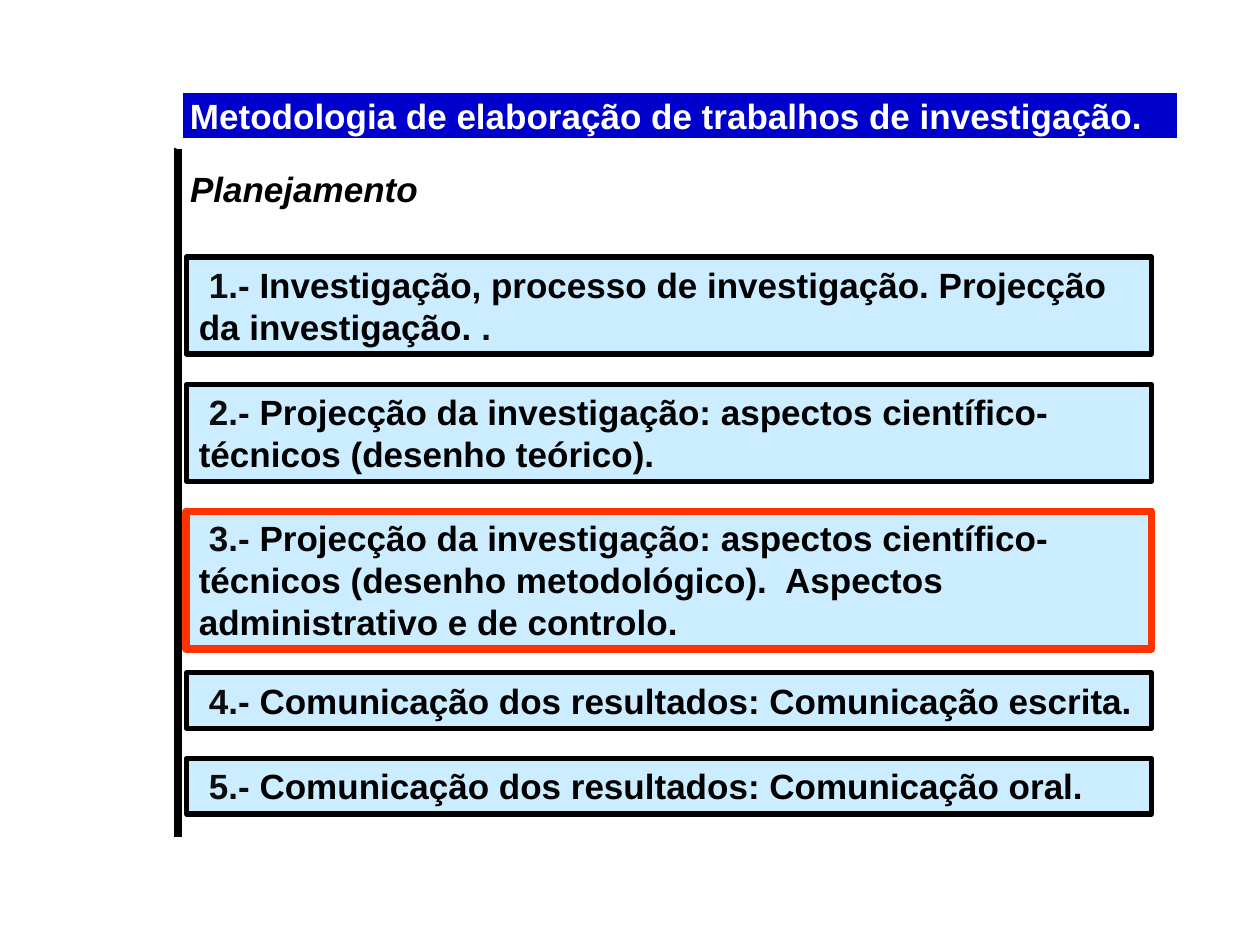
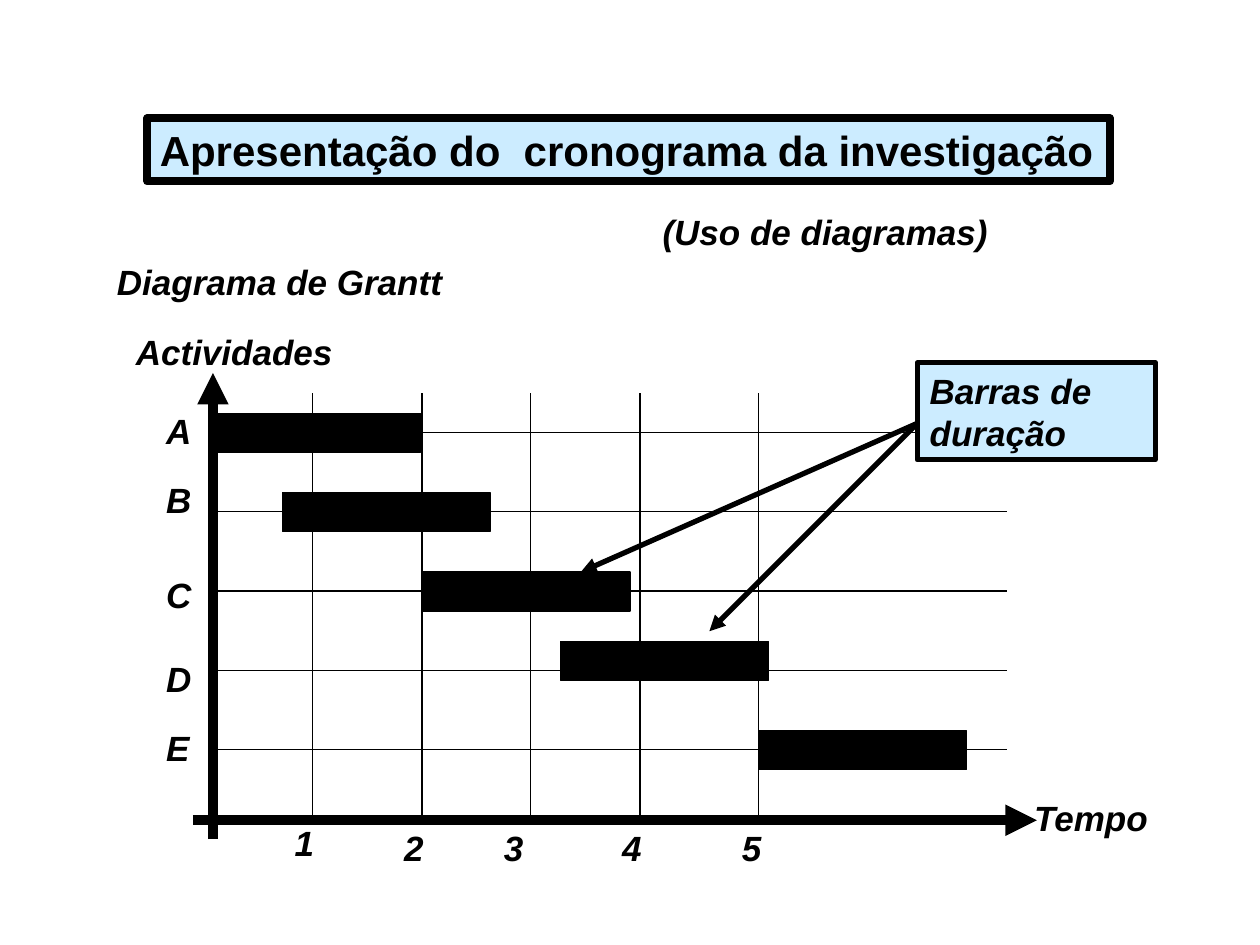
from dataclasses import dataclass
from typing import Optional

from lxml.etree import SubElement
from pptx import Presentation
from pptx.dml.color import RGBColor
from pptx.enum.shapes import MSO_CONNECTOR, MSO_SHAPE
from pptx.enum.text import MSO_ANCHOR
from pptx.oxml.ns import qn
from pptx.slide import Slide
from pptx.util import Inches, Pt


@dataclass(frozen=True)
class Theme:
    font: str = "Arial"
    black: str = "000000"
    number: str = "0D0D0D"
    white: str = "FFFFFF"
    panel: str = "CCECFF"
    band: str = "0000CC"
    highlight: str = "FF3300"
    body_size: int = 20
    title_size: int = 24
    hairline: float = 0.75
    medium: float = 3
    thick: float = 4.5
    heavy: float = 6


THEME = Theme()


@dataclass(frozen=True)
class Area:
    left: float
    top: float
    width: float
    height: float = 0.44

    def lengths(self) -> tuple:
        return tuple(Inches(value) for value in (self.left, self.top, self.width, self.height))


@dataclass(frozen=True)
class Topic:
    number: str
    text: str
    top: float
    lines: int
    ending: str = ""

    def area(self) -> Area:
        return Area(1.48, self.top, 7.66, 0.11 + 0.33 * self.lines)


@dataclass(frozen=True)
class Activity:
    name: str
    label_top: float
    bar_left: float
    bar_top: float


@dataclass(frozen=True)
class Period:
    name: str
    line_left: float
    label_left: float
    label_top: float = 6.51


TOPICS = [
    Topic("1.- ", "Investigação, processo de investigação. Projecção da investigação. ", 2.04, 2, "."),
    Topic("2.- ", "Projecção da investigação: aspectos científico-técnicos (desenho teórico).", 3.05, 2),
    Topic("3.- ", "Projecção da investigação: aspectos científico-técnicos (desenho metodológico).  "
          "Aspectos administrativo e de controlo.", 4.05, 3),
    Topic("4.- ", "Comunicação dos resultados: Comunicação escrita.", 5.34, 1),
    Topic("5.- ", "Comunicação dos resultados: Comunicação oral.", 6.02, 1),
]
HIGHLIGHT_AREA = Area(1.48, 4.06, 7.66, 1.09)

ACTIVITIES = [
    Activity("A", 3.2, 1.69, 3.28),
    Activity("B", 3.75, 2.24, 3.91),
    Activity("C", 4.5, 3.35, 4.54),
    Activity("D", 5.17, 4.45, 5.09),
    Activity("E", 5.72, 6.02, 5.8),
]
PERIODS = [
    Period("1", 2.48, 2.24, 6.47),
    Period("2", 3.35, 3.11),
    Period("3", 4.21, 3.9),
    Period("4", 5.08, 4.84),
    Period("5", 6.02, 5.79),
]
AXIS_LEFT, AXIS_BOTTOM = 1.69, 6.51
GRID_RIGHT, GRID_TOP = 7.99, 3.12
FIRST_ROW, ROW_PITCH = 3.43, 0.63
BAR_WIDTH, BAR_HEIGHT = 1.65, 0.31
LABEL_LEFT, LABEL_WIDTH = 1.22, 0.47
CALLOUT = Area(7.28, 2.88, 1.89, 0.77)
CALLOUT_TIP = (7.28, 3.36)
CALLOUT_TARGETS = [(4.61, 4.54), (5.63, 5.01)]


def add_span(para, text: str, *, size: int, color: str, italic: bool = False) -> None:
    span = para.add_run()
    span.text = text
    span.font.name = THEME.font
    span.font.size = Pt(size)
    span.font.bold = True
    span.font.italic = italic
    span.font.color.rgb = RGBColor.from_string(color)


def write_text(box, *parts: tuple[str, str], size: int = THEME.body_size, italic: bool = False,
               anchor: MSO_ANCHOR = MSO_ANCHOR.TOP, indent: float = 0) -> None:
    """Fill a box with one left-aligned paragraph made of (text, colour) parts."""
    frame = box.text_frame
    frame.word_wrap = True
    frame.vertical_anchor = anchor
    para = frame.paragraphs[0]
    properties = para._p.get_or_add_pPr()
    properties.set("algn", "l")
    if indent:
        properties.set("indent", str(Inches(indent)))
    for text, color in parts:
        add_span(para, text, size=size, color=color, italic=italic)


def add_box(page: Slide, area: Area, *, fill: Optional[str], line: str = THEME.black,
            line_width: float = THEME.medium):
    box = page.shapes.add_shape(MSO_SHAPE.RECTANGLE, *area.lengths())
    box.shadow.inherit = False
    if fill:
        box.fill.solid()
        box.fill.fore_color.rgb = RGBColor.from_string(fill)
    else:
        box.fill.background()
    box.line.color.rgb = RGBColor.from_string(line)
    box.line.width = Pt(line_width)
    return box


def add_label(page: Slide, text: str, area: Area) -> None:
    box = page.shapes.add_textbox(*area.lengths())
    write_text(box, (text, THEME.black), italic=True)


def add_line(page: Slide, start: tuple[float, float], end: tuple[float, float], *,
             width: float = THEME.hairline, arrow: bool = False) -> None:
    ends = [Inches(value) for value in (*start, *end)]
    connector = page.shapes.add_connector(MSO_CONNECTOR.STRAIGHT, *ends)
    connector.line.color.rgb = RGBColor.from_string(THEME.black)
    connector.line.width = Pt(width)
    if arrow:
        SubElement(connector.line._get_or_add_ln(), qn("a:tailEnd"), type="triangle")
    SubElement(connector._element.spPr, qn("a:effectLst"))


def build_planning(page: Slide) -> None:
    for topic in TOPICS:
        box = add_box(page, topic.area(), fill=THEME.panel)
        parts = [(topic.number, THEME.number), (topic.text, THEME.black)]
        if topic.ending:
            parts.append((topic.ending, THEME.number))
        write_text(box, *parts, indent=0.08)
    add_line(page, (1.41, 0.95), (1.41, 6.64), width=THEME.thick)
    band = add_box(page, Area(1.41, 0.7, 7.97), fill=THEME.band, line=THEME.white,
                   line_width=THEME.heavy)
    write_text(band, ("Metodologia de elaboração de trabalhos de investigação.", THEME.white),
               anchor=MSO_ANCHOR.MIDDLE)
    add_label(page, "Planejamento", Area(1.41, 1.28, 2.11))
    add_box(page, HIGHLIGHT_AREA, fill=None, line=THEME.highlight, line_width=THEME.thick)


def build_gantt_grid(page: Slide) -> None:
    add_line(page, (AXIS_LEFT, 6.66), (AXIS_LEFT, 2.96), width=THEME.heavy, arrow=True)
    add_line(page, (1.53, AXIS_BOTTOM), (8.23, AXIS_BOTTOM), width=THEME.heavy, arrow=True)
    for row, activity in enumerate(ACTIVITIES):
        height = FIRST_ROW + row * ROW_PITCH
        add_line(page, (AXIS_LEFT, height), (GRID_RIGHT, height))
        add_label(page, activity.name, Area(LABEL_LEFT, activity.label_top, LABEL_WIDTH))
    for period in PERIODS:
        add_line(page, (period.line_left, AXIS_BOTTOM), (period.line_left, GRID_TOP))
        add_label(page, period.name, Area(period.label_left, period.label_top, LABEL_WIDTH))


def build_schedule(page: Slide) -> None:
    title = add_box(page, Area(1.17, 0.94, 7.64, 0.5), fill=THEME.panel, line_width=THEME.thick)
    write_text(title, ("Apresentação do  cronograma da investigação", THEME.black),
               size=THEME.title_size)
    add_label(page, "(Uso de diagramas)", Area(5.16, 1.62, 2.91))
    add_label(page, "Diagrama de Grantt", Area(0.83, 2.02, 3.47))
    build_gantt_grid(page)
    for activity in ACTIVITIES:
        bar = Area(activity.bar_left, activity.bar_top, BAR_WIDTH, BAR_HEIGHT)
        add_box(page, bar, fill=THEME.black, line_width=THEME.hairline)
    add_label(page, "Actividades", Area(0.98, 2.57, 1.89))
    add_label(page, "Tempo", Area(8.11, 6.27, 1.89))
    callout = add_box(page, CALLOUT, fill=THEME.panel)
    write_text(callout, ("Barras de duração", THEME.black), italic=True)
    for target in CALLOUT_TARGETS:
        add_line(page, CALLOUT_TIP, target, width=THEME.medium, arrow=True)


def main() -> None:
    deck = Presentation()
    deck.slide_width, deck.slide_height = Inches(10), Inches(7.5)
    for build in (build_planning, build_schedule):
        build(deck.slides.add_slide(deck.slide_layouts[6]))
    deck.save("out.pptx")


if __name__ == "__main__":
    main()
